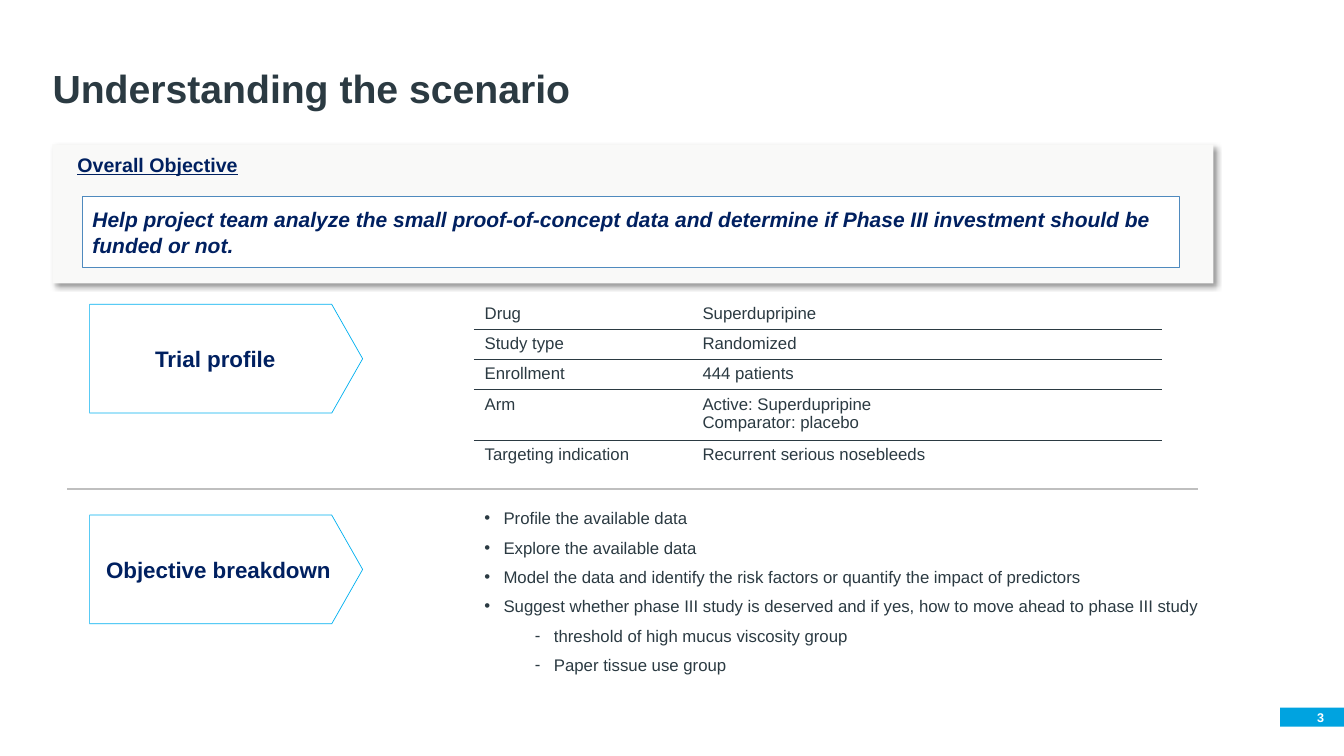
from dataclasses import dataclass
from lxml.etree import SubElement
from pptx import Presentation
from pptx.dml.color import RGBColor
from pptx.enum.shapes import MSO_CONNECTOR as Connector, MSO_SHAPE as Preset
from pptx.enum.text import MSO_ANCHOR as Anchor, MSO_AUTO_SIZE as AutoSize, PP_ALIGN as Align
from pptx.oxml import parse_xml
from pptx.oxml.ns import nsdecls, qn
from pptx.util import Cm, Pt


@dataclass(frozen=True)
class Theme:
    font: str = "Arial"
    ink: str = "2B3A42"
    navy: str = "002060"
    white: str = "FFFFFF"
    panel: str = "F9F9F8"
    badge: str = "00A3E0"
    arrow: str = "00B0F0"
    frame: str = "4F8ABE"
    divider: str = "BFBFBF"
    title: float = 28
    label: float = 16
    statement: float = 15
    heading: float = 14
    body: float = 12
    number: float = 9


def apply(target, values):
    for name, value in values.items():
        setattr(target, name, value)


def box(*lengths):
    return [Cm(length) for length in lengths]


class ScenarioSlide:
    """Draws styled elements on one title-only slide."""

    def __init__(self, deck, theme):
        self.theme = theme
        self.slide = deck.slides.add_slide(deck.slide_layouts[5])
        self.shapes = self.slide.shapes

    def letter(self, paragraph, words, size, color, align=Align.LEFT, **style):
        paragraph.alignment = align
        run = paragraph.add_run()
        run.text = words
        apply(run.font, dict(name=self.theme.font, size=Pt(size), **style))
        run.font.color.rgb = RGBColor.from_string(color)

    def frame(self, holder, anchor=Anchor.MIDDLE, **values):
        apply(holder.text_frame, dict(word_wrap=True, auto_size=AutoSize.NONE,
                                      vertical_anchor=anchor, **values))
        return holder.text_frame

    def title(self, place, words):
        heading = self.shapes.title
        apply(heading, dict(zip(("left", "top", "width", "height"), box(*place))))
        line = self.frame(heading, Anchor.BOTTOM).paragraphs[0]
        line.line_spacing = 0.9
        self.letter(line, words, self.theme.title, self.theme.ink, bold=True)

    def shape(self, preset, place, fill=None, outline=None, weight=1):
        block = self.shapes.add_shape(preset, *box(*place))
        block.shadow.inherit = False
        if fill:
            block.fill.solid()
            block.fill.fore_color.rgb = RGBColor.from_string(fill)
        else:
            block.fill.background()
        if outline:
            block.line.color.rgb = RGBColor.from_string(outline)
            block.line.width = Pt(weight)
        else:
            block.line.fill.background()
        return block

    def panel(self, place):
        backdrop = self.shape(Preset.RECTANGLE, place, self.theme.panel)
        effects = backdrop._element.spPr.find(qn("a:effectLst"))
        effects.append(parse_xml(
            f'<a:outerShdw {nsdecls("a")} blurRad="{Pt(4)}" dist="{Pt(3)}" dir="2700000" '
            'algn="tl" rotWithShape="0"><a:srgbClr val="000000"><a:alpha val="40000"/>'
            '</a:srgbClr></a:outerShdw>'))

    def heading(self, place, words):
        caption = self.shapes.add_textbox(*box(*place))
        self.letter(self.frame(caption, Anchor.TOP).paragraphs[0], words, self.theme.heading,
                    self.theme.navy, bold=True, underline=True)

    def statement(self, place, words):
        card = self.shape(Preset.RECTANGLE, place, self.theme.white, self.theme.frame)
        self.letter(self.frame(card).paragraphs[0], words, self.theme.statement,
                    self.theme.navy, bold=True, italic=True)

    def arrow(self, place, words):
        tag = self.shape(Preset.PENTAGON, place, None, self.theme.arrow, 0.5)
        tag.adjustments[0] = 0.284
        self.letter(self.frame(tag).paragraphs[0], words, self.theme.label,
                    self.theme.navy, Align.CENTER, bold=True)

    def badge(self, place, number):
        tab = self.shape(Preset.RECTANGLE, place, self.theme.badge)
        text = self.frame(tab, margin_left=0, margin_top=0, margin_bottom=0, margin_right=Cm(0.5))
        self.letter(text.paragraphs[0], number, self.theme.number,
                    self.theme.white, Align.RIGHT, bold=True)

    def rule(self, cell, sides):
        properties = cell._tc.get_or_add_tcPr()
        for position, side in enumerate(sides):
            properties.insert(position, parse_xml(
                f'<a:{side} {nsdecls("a")} w="{Pt(1)}"><a:solidFill>'
                f'<a:srgbClr val="{self.theme.ink}"/></a:solidFill></a:{side}>'))

    def table(self, place, widths, heights, rows):
        grid = self.shapes.add_table(len(rows), len(widths), *box(*place)).table
        apply(grid, dict(first_row=False, horz_banding=False))
        for column, width in zip(grid.columns, widths):
            column.width = Cm(width)
        for index, (row, height, facts) in enumerate(zip(grid.rows, heights, rows)):
            row.height = Cm(height)
            sides = ["lnT"] * (index > 0) + ["lnB"] * (index < len(rows) - 1)
            for cell, fact in zip(row.cells, facts):
                cell.fill.background()
                self.rule(cell, sides)
                for number, words in enumerate(fact.split("\n")):
                    text = cell.text_frame
                    line = text.add_paragraph() if number else text.paragraphs[0]
                    self.letter(line, words, self.theme.body, self.theme.ink)

    def bullets(self, place, items):
        text = self.frame(self.shapes.add_textbox(*box(*place)))
        for number, (level, words) in enumerate(items):
            line = text.add_paragraph() if number else text.paragraphs[0]
            apply(line, dict(level=level, space_before=Pt(6.6)))
            self.letter(line, words, self.theme.body, self.theme.ink)
            properties = line._p.get_or_add_pPr()
            properties.set("marL", str(Cm(0.48 + 1.27 * level)))
            properties.set("indent", str(-Cm(0.48)))
            SubElement(properties, qn("a:buFont")).set("typeface", self.theme.font)
            SubElement(properties, qn("a:buChar")).set("char", "•‐"[level])

    def divider(self, left, right, top):
        rule = self.shapes.add_connector(Connector.STRAIGHT, *box(left, top, right, top))
        rule.line.color.rgb = RGBColor.from_string(self.theme.divider)
        rule.line.width = Pt(1)
        SubElement(rule._element.spPr, qn("a:effectLst"))


def main():
    deck = Presentation()
    apply(deck, dict(slide_width=Cm(33.87), slide_height=Cm(19.05)))
    scenario = ScenarioSlide(deck, Theme())
    scenario.badge((32.26, 17.83, 1.61, 0.48), "3")
    scenario.title((1.07, 0.81, 31.5, 2.13), "Understanding the scenario")
    scenario.panel((1.32, 3.64, 29.26, 3.5))
    scenario.statement((2.08, 4.95, 27.64, 1.8),
                       "Help project team analyze the small proof-of-concept data and "
                       "determine if Phase III investment should be funded or not.")
    scenario.heading((1.7, 3.73, 13.51, 0.86), "Overall Objective")
    scenario.table((11.96, 7.54, 17.3, 4.32), (5.49, 11.81), (0.76, 0.76, 0.76, 1.28, 0.76), [
        ("Drug", "Superdupripine"),
        ("Study type", "Randomized"),
        ("Enrollment", "444 patients"),
        ("Arm", "Active: Superdupripine\nComparator: placebo"),
        ("Targeting indication", "Recurrent serious nosebleeds"),
    ])
    for top, section in ((7.67, "Trial profile "), (12.98, "Objective breakdown")):
        scenario.arrow((2.26, top, 6.88, 2.74), section)
    scenario.bullets((11.96, 12.57, 19.46, 4.67), [
        (0, "Profile the available data"),
        (0, "Explore the available data"),
        (0, "Model the data and identify the risk factors or quantify the impact of predictors"),
        (0, "Suggest whether phase III study is deserved and if yes, "
            "how to move ahead to phase III study"),
        (1, "threshold of high mucus viscosity group"),
        (1, "Paper tissue use group"),
    ])
    scenario.divider(1.7, 30.2, 12.32)
    deck.save("out.pptx")


if __name__ == "__main__":
    main()
